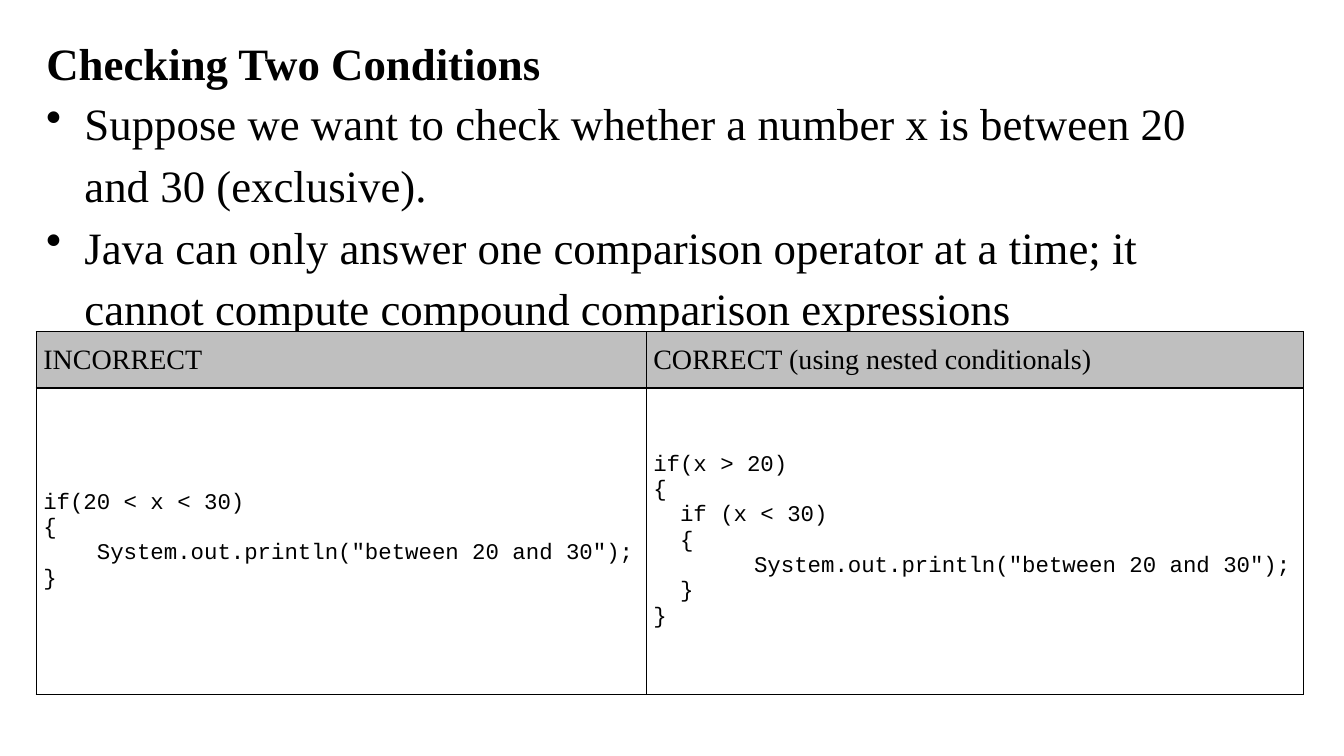
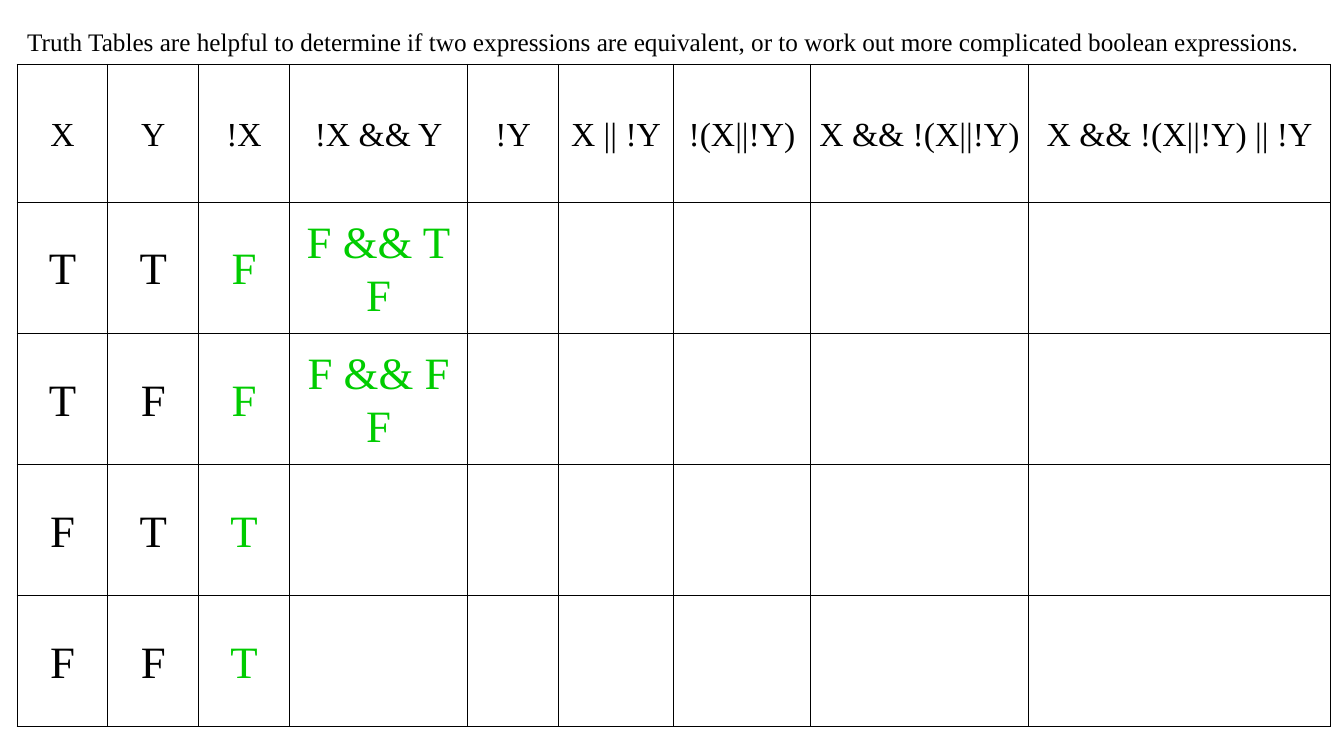
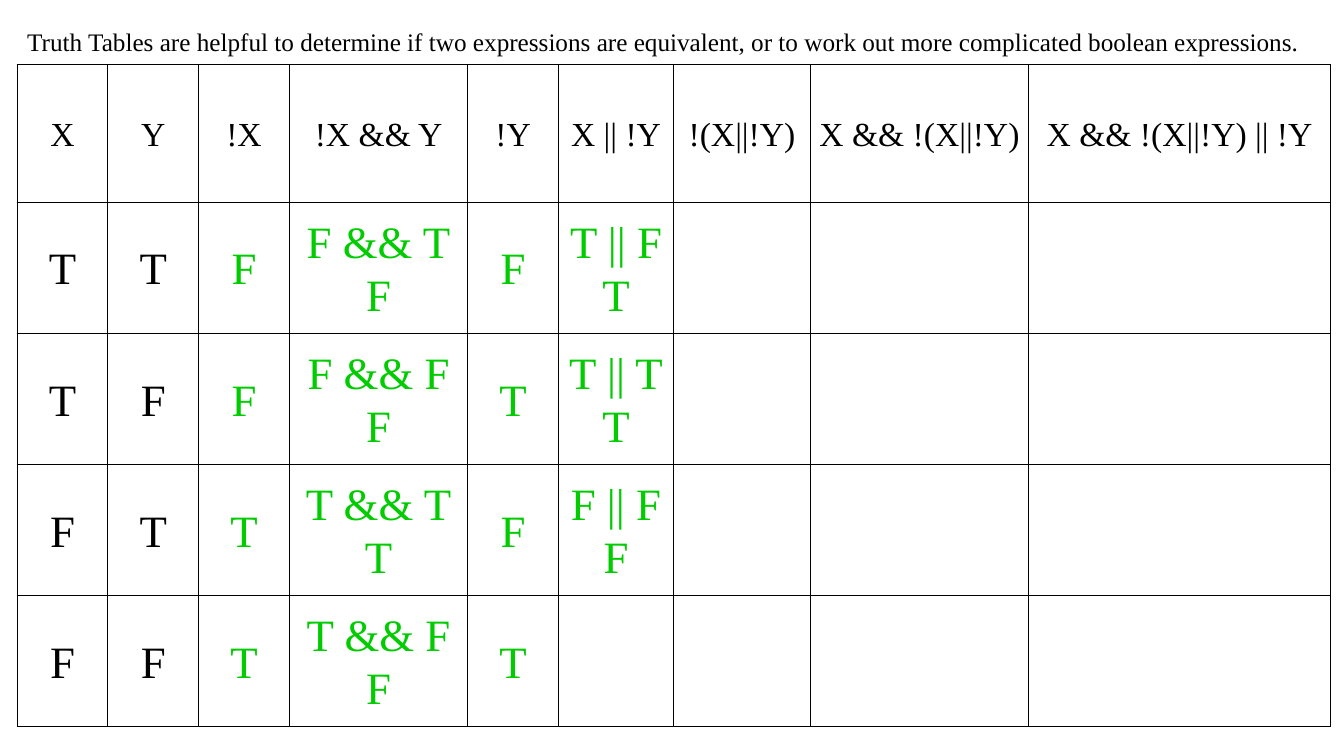
import pptx
import pptx.util
import pptx.dml.color
import pptx.enum.text
import pptx.oxml
from lxml import etree

Inches = pptx.util.Inches
Align = pptx.enum.text.PP_ALIGN
Anchor = pptx.enum.text.MSO_ANCHOR

# Shared look
BODY_FONT = "Times New Roman"
CODE_FONT = "Courier New"
BLACK, GREEN, GREY = "000000", "00CC00", "BFBFBF"
TITLE_ONLY = 5
TRUTH_SPACING = 1.07

# Slide 1 content
POINTS = [
    "Suppose we want to check whether a number x is between 20 and 30 (exclusive).",
    "Java can only answer one comparison operator at a time; it cannot compute "
    "compound comparison expressions",
]
CODE_HEADERS = ["INCORRECT", "CORRECT (using nested conditionals)"]
CODE_SAMPLES = [
    """if(20 < x < 30)
{
    System.out.println("between 20 and 30");
}""",
    """if(x > 20)
{
  if (x < 30)
  {
    \tSystem.out.println("between 20 and 30");
  }
}""",
]

# Truth table content: expression, column width, worked answers
TRUTH_TITLE = (
    "Truth Tables are helpful to determine if two expressions are equivalent, "
    "or to work out more complicated boolean expressions."
)
TRUTH_COLUMNS = [
    ("X", 0.9, ["T", "T", "F", "F"]),
    ("Y", 0.9, ["T", "F", "T", "F"]),
    ("!X", 0.9, ["F", "F", "T", "T"]),
    ("!X && Y", 1.77, ["F && T\nF", "F && F\nF", "T && T\nT", "T && F\nF"]),
    ("!Y", 0.9, ["F", "T", "F", "T"]),
    ("X || !Y", 1.14, ["T || F\nT", "T || T\nT", "F || F\nF"]),
    ("!(X||!Y)", 1.36, []),
    ("X && !(X||!Y)", 2.16, []),
    ("X && !(X||!Y) || !Y", 3, []),
]
GIVEN_COLUMNS = 2


def color(value):
    return pptx.dml.color.RGBColor.from_string(value)


def style(paragraph, size, font=BODY_FONT, ink=BLACK, bold=False,
          align=Align.LEFT, spacing=None):
    paragraph.alignment = align
    if spacing:
        paragraph.line_spacing = spacing
    paragraph.font.size = pptx.util.Pt(size)
    paragraph.font.name = font
    paragraph.font.bold = bold
    paragraph.font.color.rgb = color(ink)


def place(shape, left, top, width, height):
    shape.left, shape.top = Inches(left), Inches(top)
    shape.width, shape.height = Inches(width), Inches(height)


def add_titled_page(deck, text, area, size, **look):
    page = deck.slides.add_slide(deck.slide_layouts[TITLE_ONLY])
    title = page.shapes.title
    place(title, *area)
    frame = title.text_frame
    frame.text = text
    frame.word_wrap = True
    frame.auto_size = pptx.enum.text.MSO_AUTO_SIZE.NONE
    frame.vertical_anchor = Anchor.TOP
    style(frame.paragraphs[0], size, **look)
    return page


def add_bullets(page, points, area, size, spacing):
    box = page.shapes.add_textbox(*map(Inches, area))
    frame = box.text_frame
    frame.word_wrap = True
    frame.text = "\n".join(points)
    for paragraph in frame.paragraphs:
        properties = paragraph._p.get_or_add_pPr()
        properties.set("marL", str(Inches(0.38)))
        properties.set("indent", str(-Inches(0.38)))
        bullet = etree.SubElement(properties, pptx.oxml.ns.qn("a:buChar"))
        bullet.set("char", "•")
        style(paragraph, size, spacing=spacing)


def add_borders(cell):
    properties = cell._tc.get_or_add_tcPr()
    for position, side in enumerate(("lnL", "lnR", "lnT", "lnB")):
        line = pptx.oxml.parse_xml(
            f'<a:{side} {pptx.oxml.ns.nsdecls("a")} w="{pptx.util.Pt(1)}">'
            f'<a:solidFill><a:srgbClr val="{BLACK}"/></a:solidFill></a:{side}>'
        )
        properties.insert(position, line)


def add_grid(page, left, top, widths, heights):
    frame = page.shapes.add_table(
        len(heights), len(widths), Inches(left), Inches(top),
        Inches(sum(widths)), Inches(sum(heights)))
    table = frame.table
    table.first_row = table.horz_banding = False
    for column, width in zip(table.columns, widths):
        column.width = Inches(width)
    for row, height in zip(table.rows, heights):
        row.height = Inches(height)
    for cell in table.iter_cells():
        cell.margin_left = cell.margin_right = Inches(0.07)
        cell.margin_top = cell.margin_bottom = 0
        cell.vertical_anchor = Anchor.MIDDLE
        cell.fill.background()
        add_borders(cell)
    return table


def fill_cell(cell, text, size, **look):
    cell.text = text
    for paragraph in cell.text_frame.paragraphs:
        style(paragraph, size, **look)


def add_conditions_page(deck):
    page = add_titled_page(deck, "Checking Two Conditions",
                           (0.36, 0.22, 11.84, 0.6), 32, bold=True, spacing=1.15)
    add_bullets(page, POINTS, (0.36, 0.82, 11.84, 2.47), 32, 1.15)
    table = add_grid(page, 0.36, 3.29, [6.05, 6.52], [0.56, 3.04])
    for column, (header, code) in enumerate(zip(CODE_HEADERS, CODE_SAMPLES)):
        heading = table.cell(0, column)
        fill_cell(heading, header, 20)
        heading.fill.solid()
        heading.fill.fore_color.rgb = color(GREY)
        fill_cell(table.cell(1, column), code, 16, font=CODE_FONT)


def add_truth_page(deck, shown):
    """Show the first answers of each column, as many as shown lists."""
    page = add_titled_page(deck, TRUTH_TITLE, (0.17, 0.19, 13, 0.41), 18,
                           spacing=TRUTH_SPACING)
    widths = [width for _, width, _ in TRUTH_COLUMNS]
    table = add_grid(page, 0.17, 0.64, widths, [1.37] + [1.3] * 4)
    look = {"align": Align.CENTER, "spacing": TRUTH_SPACING}
    for column, (expression, _, answers) in enumerate(TRUTH_COLUMNS):
        fill_cell(table.cell(0, column), expression, 24, **look)
        ink = BLACK if column < GIVEN_COLUMNS else GREEN
        count = shown[column] if column < len(shown) else 0
        for row, answer in enumerate(answers[:count], start=1):
            fill_cell(table.cell(row, column), answer, 32, ink=ink, **look)


def main():
    deck = pptx.Presentation()
    deck.slide_width, deck.slide_height = Inches(13.33), Inches(7.5)
    add_conditions_page(deck)
    add_truth_page(deck, [4, 4, 4, 2])
    add_truth_page(deck, [4, 4, 4, 4, 4, 3])
    deck.save("out.pptx")


if __name__ == "__main__":
    main()
